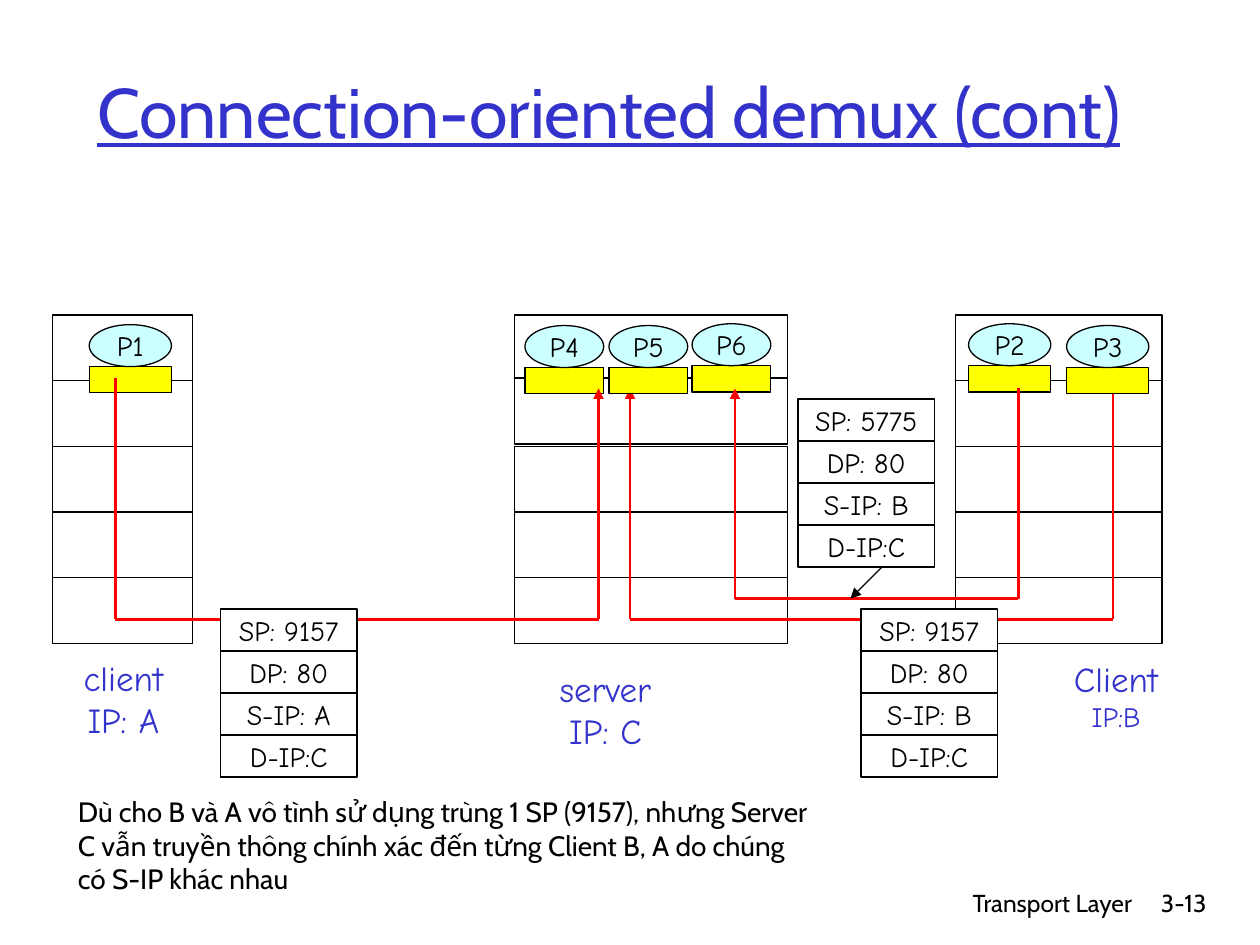
from pptx import Presentation
from pptx.dml.color import RGBColor
from pptx.enum.shapes import MSO_CONNECTOR, MSO_SHAPE
from pptx.enum.text import MSO_ANCHOR as ANCHOR, MSO_AUTO_SIZE as AUTO, PP_ALIGN as ALIGN
from pptx.oxml.ns import qn
from pptx.util import Pt
from lxml.etree import SubElement

COLORS = {"ink": "000000", "title": "3333CC", "cell": "FFFFFF",
          "process": "CCFFFF", "socket": "FFFF00", "flow": "FF0000"}


class Diagram:
    """Draws network diagram elements on one slide in a shared style."""

    body_font = "Cabin"
    label_font = "Comic Neue"

    def __init__(self, slide):
        self.slide = slide
        self.shapes = slide.shapes

    def color(self, name):
        return RGBColor.from_string(COLORS[name])

    def style(self, p, size, font, color="ink", align=ALIGN.CENTER):
        p.alignment = align
        p.font.size = Pt(size)
        p.font.name = font
        p.font.color.rgb = self.color(color)

    def title(self, text, x, y, w, h):
        sp = self.shapes.title
        sp.left, sp.top, sp.width, sp.height = Pt(x), Pt(y), Pt(w), Pt(h)
        tf = sp.text_frame
        tf.text = text
        tf.auto_size = AUTO.NONE
        tf.vertical_anchor = ANCHOR.MIDDLE
        p = tf.paragraphs[0]
        self.style(p, 40, self.body_font, "title")
        p.font.underline = True

    def text(self, text, x, y, w, h, size=16, align=ALIGN.LEFT):
        tf = self.shapes.add_textbox(Pt(x), Pt(y), Pt(w), Pt(h)).text_frame
        tf.word_wrap = True
        tf.text = text
        self.style(tf.paragraphs[0], size, self.body_font, align=align)

    def host_label(self, lines, x, y, w, h, sizes=(20, 20)):
        tf = self.shapes.add_textbox(Pt(x), Pt(y), Pt(w), Pt(h)).text_frame
        tf.word_wrap = False
        tf.text = "\n".join(lines)
        for p, size in zip(tf.paragraphs, sizes):
            self.style(p, size, self.label_font, "title")

    def shape(self, kind, x, y, w, h, fill, text=None):
        sp = self.shapes.add_shape(kind, Pt(x), Pt(y), Pt(w), Pt(h))
        sp.shadow.inherit = False
        sp.fill.solid()
        sp.fill.fore_color.rgb = self.color(fill)
        sp.line.color.rgb = self.color("ink")
        sp.line.width = Pt(0.75)
        if text:
            tf = sp.text_frame
            tf.word_wrap = False
            tf.vertical_anchor = ANCHOR.MIDDLE
            tf.text = text
            self.style(tf.paragraphs[0], 16, self.label_font)

    def host(self, x, w, tops):
        for y in tops:
            self.shape(MSO_SHAPE.RECTANGLE, x, y, w, 37.8, "cell")

    def process(self, name, x, y, w):
        self.shape(MSO_SHAPE.RECTANGLE, x, y + 24, w, 15, "socket")
        self.shape(MSO_SHAPE.OVAL, x, y, w, 24, "process", name)

    def packet(self, x, y, fields):
        for i, field in enumerate(fields):
            self.shape(MSO_SHAPE.RECTANGLE, x, y + 24 * i, 78, 24, "cell", field)

    def arrow(self, points, color="flow", width=1.5):
        for start, end in zip(points, points[1:]):
            line = self.shapes.add_connector(
                MSO_CONNECTOR.STRAIGHT, *(Pt(v) for v in start + end))
            line.line.color.rgb = self.color(color)
            line.line.width = Pt(width)
            sp_pr = line._element.spPr
            SubElement(sp_pr, qn("a:effectLst"))
        SubElement(sp_pr.find(qn("a:ln")), qn("a:tailEnd"), type="triangle")


def main():
    prs = Presentation()
    prs.slide_width, prs.slide_height = Pt(720), Pt(540)
    d = Diagram(prs.slides.add_slide(prs.slide_layouts[5]))

    d.title("Connection-oriented demux (cont)", 42, 18, 612, 90)
    d.text("Transport Layer", 426, 504, 228, 36, 14, ALIGN.RIGHT)
    d.text("3-13", 643, 504, 53.5, 36, 14, ALIGN.RIGHT)

    tops = [180 + 37.5 * i for i in range(5)]
    d.host(30, 80, tops)
    d.host(546, 118, tops)
    d.host(294, 156, [tops[0], 216] + tops[2:])
    d.host_label(["client", "IP: A"], 39.5, 371.5, 62, 55.5)
    d.host_label(["server", "IP: C"], 312.5, 378, 67, 55.5)
    d.host_label(["Client", "IP:B"], 606.5, 372, 62.5, 50.5, (20, 16))

    d.process("P1", 51, 185.5, 47)
    d.process("P2", 553.5, 185, 47)
    d.process("P4", 300, 186, 45)
    d.arrow([(66, 216), (66, 354), (342, 354), (342, 222)])
    d.arrow([(636, 216), (636, 354), (360, 354), (360, 222)])
    d.process("P5", 348, 186, 45)
    d.process("P6", 395.5, 185, 45)
    d.process("P3", 609.5, 186, 47)
    d.arrow([(582, 222), (582, 342), (420, 342), (420, 222)])

    for x, y, port, source in ((126, 348, 9157, "A"), (492, 348, 9157, "B"),
                               (456, 228, 5775, "B")):
        d.packet(x, y, [f"SP: {port}", "DP: 80", f"S-IP: {source}", "D-IP:C"])
    d.arrow([(504, 324), (486, 342)], "ink", 0.75)

    d.text("Dù cho B và A vô tình sử dụng trùng 1 SP (9157), nhưng Server C vẫn "
           "truyền thông chính xác đến từng Client B, A do chúng có S-IP khác nhau",
           37.5, 450.5, 437, 65)
    prs.save("out.pptx")


if __name__ == "__main__":
    main()
